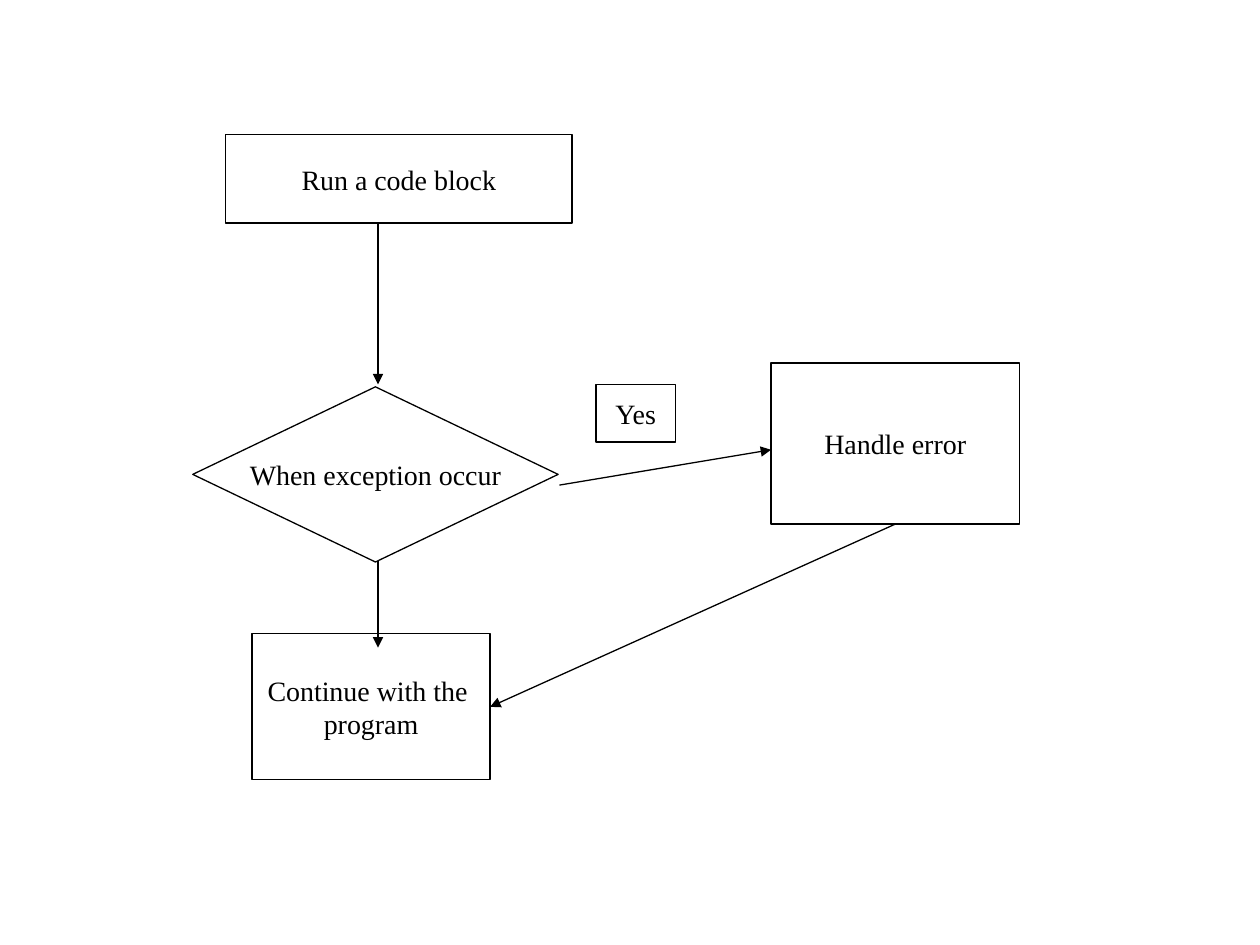
from typing import NamedTuple, Optional

from lxml.etree import SubElement
from pptx import Presentation
from pptx.dml.color import RGBColor
from pptx.enum.shapes import MSO_CONNECTOR as Link, MSO_SHAPE as Kind
from pptx.enum.text import MSO_ANCHOR as Anchor, PP_ALIGN as Align
from pptx.oxml.ns import qn
from pptx.shapes.autoshape import Shape
from pptx.util import Inches, Pt

BLACK = RGBColor(0, 0, 0)
WHITE = RGBColor(255, 255, 255)
THIN = Pt(0.75)
FRAME = {"word_wrap": False, "vertical_anchor": Anchor.MIDDLE}
FONT = {"name": "Times New Roman", "size": Pt(16)}
BOTTOM, RIGHT = 2, 3


class Node(NamedTuple):
    text: str
    left: float
    top: float
    width: float
    height: float
    kind: Kind = Kind.RECTANGLE


class Arrow(NamedTuple):
    start: tuple[float, float]
    end: tuple[float, float]
    source: Optional[str] = None
    target: Optional[str] = None


NODES = {
    "run": Node("Run a code block", 1.79, 1.07, 2.75, 0.7),
    "handle": Node("Handle error", 6.12, 2.88, 1.97, 1.28),
    "go on": Node("Continue with the \nprogram", 2, 5.03, 1.89, 1.16),
    "check": Node("When exception occur", 1.53, 3.07, 2.9, 1.39, Kind.DIAMOND),
    "yes": Node("Yes", 4.73, 3.05, 0.63, 0.46),
}
ARROWS = [
    Arrow((3, 1.77), (3, 3.05)),
    Arrow((3, 4.45), (3, 5.14)),
    Arrow((4.44, 3.85), (6.12, 3.57)),
    Arrow((7.1, 4.16), (3.89, 5.61), "handle", "go on"),
]


def set_all(item: object, values: dict) -> None:
    for name, value in values.items():
        setattr(item, name, value)


def draw_node(shapes, node: Node) -> Shape:
    box = shapes.add_shape(node.kind, Inches(node.left), Inches(node.top),
                           Inches(node.width), Inches(node.height))
    box.shadow.inherit = False
    box.fill.solid()
    box.fill.fore_color.rgb = WHITE
    box.line.color.rgb = BLACK
    box.line.width = THIN
    frame = box.text_frame
    frame.text = node.text
    set_all(frame, FRAME)
    for para in frame.paragraphs:
        para.alignment = Align.CENTER
        for run in para.runs:
            set_all(run.font, FONT)
            run.font.color.rgb = BLACK
    return box


def draw_arrow(shapes, arrow: Arrow, boxes: dict[str, Shape]) -> None:
    ends = [Inches(v) for v in arrow.start + arrow.end]
    line = shapes.add_connector(Link.STRAIGHT, *ends)
    if arrow.source:
        line.begin_connect(boxes[arrow.source], BOTTOM)
    if arrow.target:
        line.end_connect(boxes[arrow.target], RIGHT)
    line.line.color.rgb = BLACK
    line.line.width = THIN
    # Arrowhead, and no shadow
    props = line._element.spPr
    SubElement(props.find(qn("a:ln")), qn("a:tailEnd"), type="triangle")
    SubElement(props, qn("a:effectLst"))


def main() -> None:
    deck = Presentation()
    deck.slide_width, deck.slide_height = Inches(10), Inches(7.5)
    shapes = deck.slides.add_slide(deck.slide_layouts[6]).shapes

    # Steps of the flow
    boxes = {name: draw_node(shapes, node) for name, node in NODES.items()}

    # Arrows between the steps
    for arrow in ARROWS:
        draw_arrow(shapes, arrow, boxes)

    deck.save("out.pptx")


if __name__ == "__main__":
    main()
